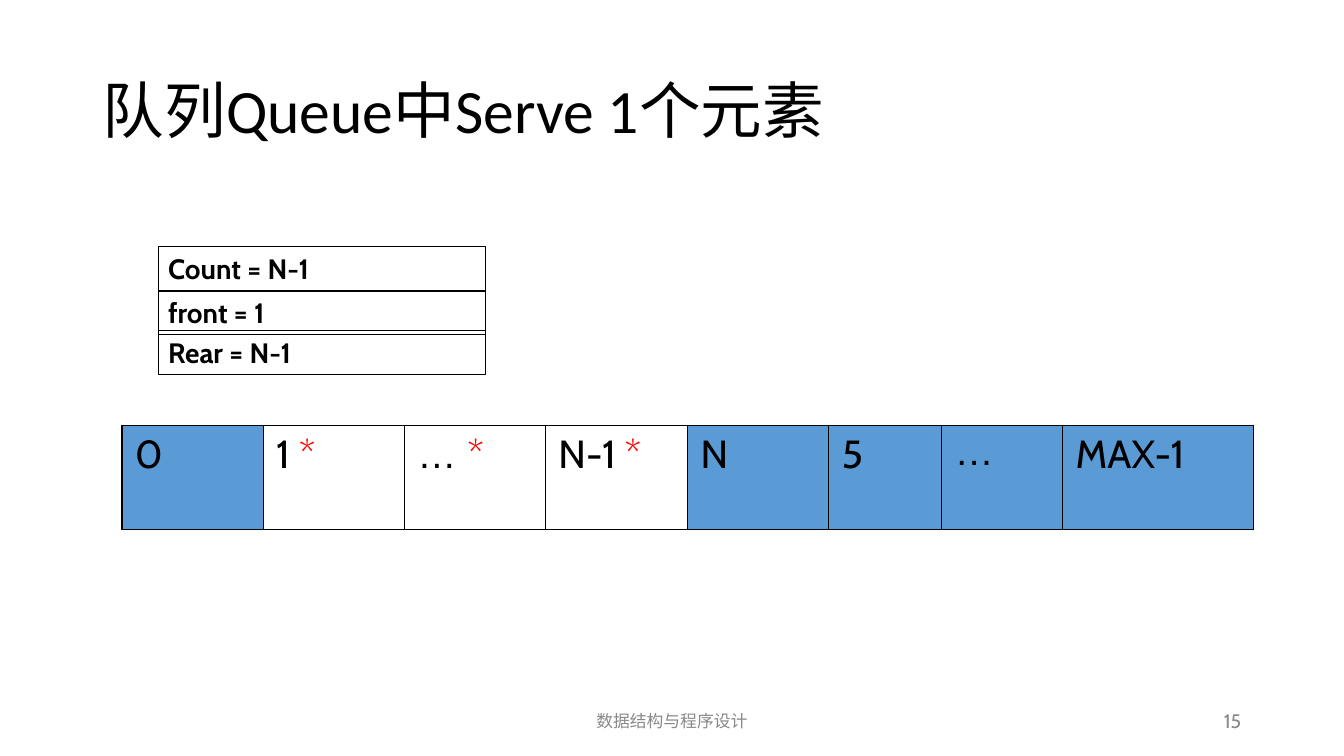
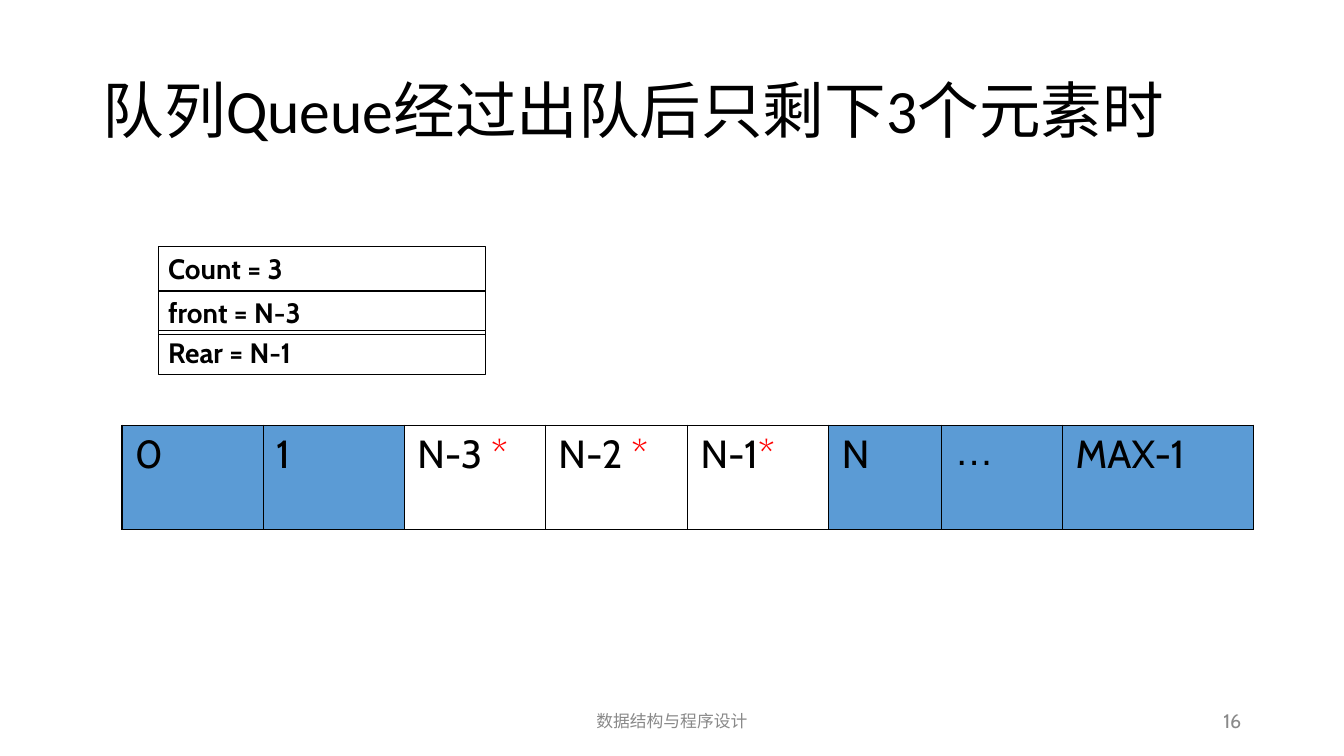
import pptx
import pptx.dml.color
import pptx.enum.shapes
import pptx.enum.text
import pptx.oxml
import pptx.oxml.ns
import pptx.util

WIDTH, HEIGHT = 13.34, 7.5
BLACK, WHITE, GREY, RED, BLUE = "000000", "FFFFFF", "898989", "FF0000", "5B9BD5"
BODY_FONT, TITLE_FONT, DOTS_FONT = "Cabin", "Calibri", "Arial"
FOOTER = "数据结构与程序设计"
ALIGN = pptx.enum.text.PP_ALIGN
ANCHOR = pptx.enum.text.MSO_ANCHOR
AUTO_SIZE = pptx.enum.text.MSO_AUTO_SIZE

# Regions: left, top, width, height in inches
TITLE_BOX = (0.92, 0.4, 11.5, 1.45)
FOOTER_BOX = (4.42, 6.95, 4.5, 0.4)
NUMBER_BOX = (9.42, 6.95, 3, 0.4)
STATE_BOX = (1.57, 2.45, 3.25, 1.27)
QUEUE_BOX = (1.21, 4.22, 11.23, 1.03)

STATE_TOPS = (0, 0.34, 0.655)  # shares of the state region's height
STATE_ROW = 0.345
QUEUE_COLUMNS = (1.4, 1.4, 1.4, 1.41, 1.4, 1.12, 1.2, 1.89)

# Queue cells: label, and whether the cell holds an element
PAGES = [
    (15, "队列Queue中Serve 1个元素",
     ("Count = N-1", "front = 1", "Rear = N-1"),
     (("0", False), ("1 ", True), ("… ", True), ("N-1 ", True),
      ("N", False), ("5", False), ("…", False), ("MAX-1", False))),
    (16, "队列Queue经过出队后只剩下3个元素时",
     ("Count = 3", "front = N-3", "Rear = N-1"),
     (("0", False), ("1", False), ("N-3 ", True), ("N-2 ", True),
      ("N-1", True), ("N", False), ("…", False), ("MAX-1", False))),
]


def color(value):
    return pptx.dml.color.RGBColor.from_string(value)


def inches(box):
    return [pptx.util.Inches(length) for length in box]


def add_span(para, text, size, tint=BLACK, font=BODY_FONT, bold=False):
    span = para.add_run()
    span.text = text
    span.font.size = pptx.util.Pt(size)
    span.font.name = font
    span.font.bold = bold
    span.font.color.rgb = color(tint)


def add_title(page, box, text):
    title = page.shapes.title
    title.left, title.top, title.width, title.height = inches(box)
    frame = title.text_frame
    frame.auto_size = AUTO_SIZE.NONE
    frame.vertical_anchor = ANCHOR.MIDDLE
    para = frame.paragraphs[0]
    para.alignment = ALIGN.LEFT
    para.line_spacing = 0.9
    add_span(para, text, 44, font=TITLE_FONT)


def add_footer(page, box, text, size, align):
    frame = page.shapes.add_textbox(*inches(box)).text_frame
    frame.word_wrap = True
    frame.vertical_anchor = ANCHOR.MIDDLE
    para = frame.paragraphs[0]
    para.alignment = align
    add_span(para, text, size, GREY)


def add_state(page, box, lines):
    left, top, width, height = box
    for share, line in zip(STATE_TOPS, lines):
        row = page.shapes.add_shape(
            pptx.enum.shapes.MSO_SHAPE.RECTANGLE,
            *inches((left, top + share * height, width, STATE_ROW * height)))
        row.shadow.inherit = False
        row.fill.background()
        row.line.color.rgb = color(BLACK)
        row.line.width = pptx.util.Pt(0.75)
        frame = row.text_frame
        frame.word_wrap = True
        frame.auto_size = AUTO_SIZE.SHAPE_TO_FIT_TEXT
        frame.vertical_anchor = ANCHOR.TOP
        para = frame.paragraphs[0]
        para.alignment = ALIGN.LEFT
        para.space_before = pptx.util.Pt(12.5)
        add_span(para, line, 20, bold=True)


def set_border(cell, side, points):
    border = pptx.oxml.parse_xml(
        f'<a:{side} {pptx.oxml.ns.nsdecls("a")} w="{pptx.util.Pt(points)}">'
        f'<a:solidFill><a:srgbClr val="{BLACK}"/></a:solidFill></a:{side}>')
    cell._tc.get_or_add_tcPr().append(border)


def add_queue(page, box, cells):
    table = page.shapes.add_table(1, len(cells), *inches(box)).table
    table.first_row = table.horz_banding = False
    last = len(cells) - 1
    for index, (label, held) in enumerate(cells):
        share = QUEUE_COLUMNS[index] / sum(QUEUE_COLUMNS)
        table.columns[index].width = pptx.util.Inches(box[2] * share)
        cell = table.cell(0, index)
        cell.margin_left = cell.margin_right = pptx.util.Inches(0.13)
        # Thick outer edges, thin dividers
        set_border(cell, "lnL", 1.08 if index == 0 else 0.45)
        set_border(cell, "lnR", 1.08 if index == last else 0.45)
        set_border(cell, "lnT", 1.08)
        set_border(cell, "lnB", 1.08)
        cell.fill.solid()
        cell.fill.fore_color.rgb = color(WHITE if held else BLUE)
        para = cell.text_frame.paragraphs[0]
        para.space_before = pptx.util.Pt(7)
        add_span(para, label, 28, font=DOTS_FONT if "…" in label else BODY_FONT)
        if held:
            add_span(para, "*", 28, RED)


def add_page(deck, number, title, state, cells):
    page = deck.slides.add_slide(deck.slide_layouts[5])
    add_footer(page, FOOTER_BOX, FOOTER, 12, ALIGN.CENTER)
    add_footer(page, NUMBER_BOX, str(number), 14, ALIGN.RIGHT)
    add_title(page, TITLE_BOX, title)
    add_state(page, STATE_BOX, state)
    add_queue(page, QUEUE_BOX, cells)


def main():
    deck = pptx.Presentation()
    deck.slide_width, deck.slide_height = inches((WIDTH, HEIGHT))
    for content in PAGES:
        add_page(deck, *content)
    deck.save("out.pptx")


if __name__ == "__main__":
    main()
